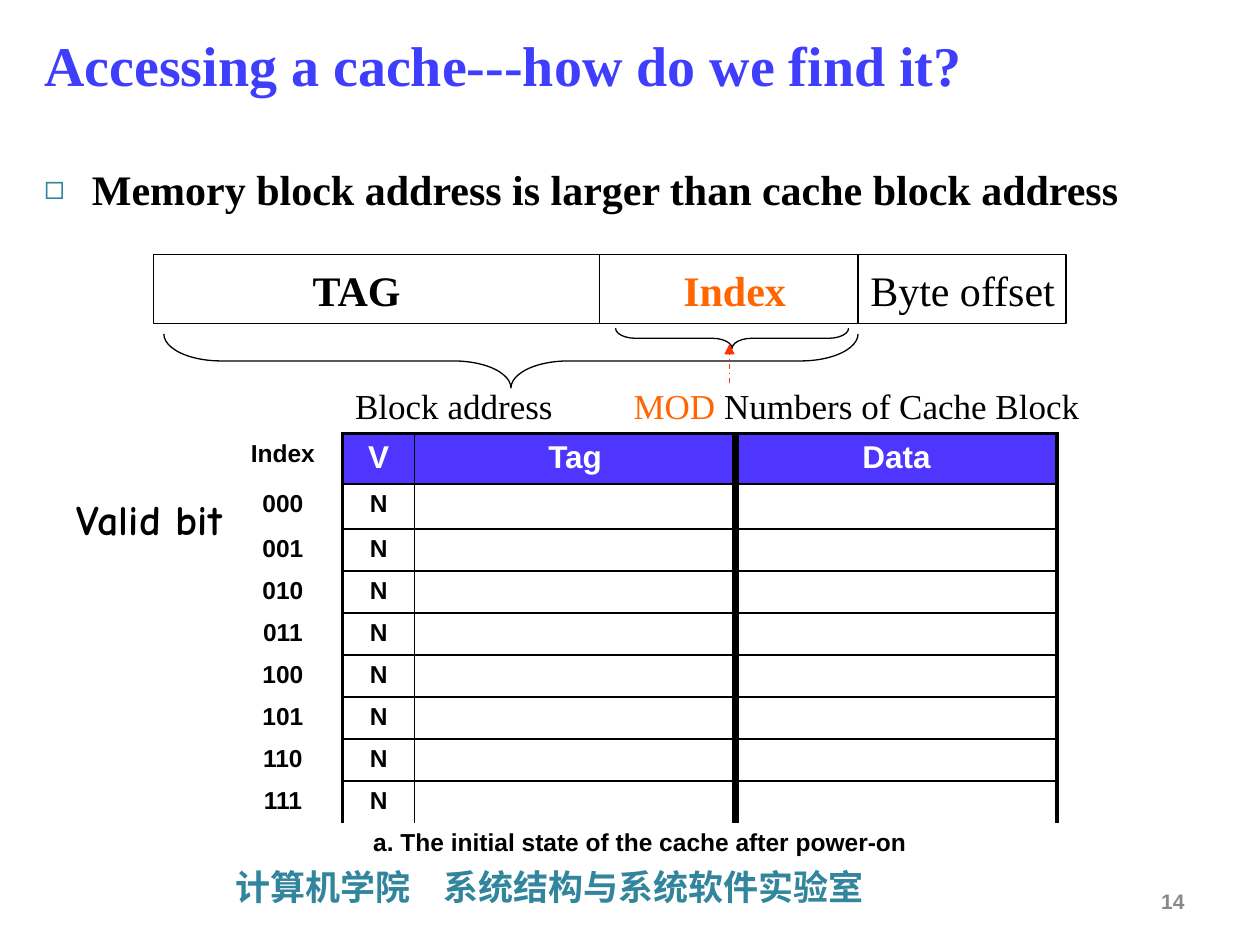
"""Build the slide on locating a block in a cache."""
from dataclasses import dataclass
from typing import Any, Optional

import lxml.etree
import pptx
import pptx.dml.color
import pptx.enum.dml
import pptx.enum.shapes
import pptx.enum.text
import pptx.oxml.ns
import pptx.util

Inches = pptx.util.Inches
Pt = pptx.util.Pt
qn = pptx.oxml.ns.qn
ALIGN = pptx.enum.text.PP_ALIGN
ANCHOR = pptx.enum.text.MSO_ANCHOR
SHAPE = pptx.enum.shapes.MSO_SHAPE

SERIF = "Times New Roman"
SANS = "Arial"
BLACK = "000000"
ORANGE = "FF6600"
TEAL = "31859C"
WHITE = "FFFFFF"
HEADER_FILL = "4E36FE"


@dataclass
class Style:
    size: float
    font: str = SERIF
    color: str = BLACK
    bold: bool = False


@dataclass
class Label:
    frame: tuple[float, float, float, float]
    pieces: list[tuple[str, str]]
    style: Style
    align: Any = ALIGN.LEFT
    anchor: Any = ANCHOR.MIDDLE
    wrap: bool = True
    tab: Optional[float] = None


@dataclass
class Brace:
    frame: tuple[float, float, float, float]
    curl: float


FIELD_WIDTH = 1.72
FIELDS = [
    (2.83, "TAG", Style(24, bold=True)),
    (5.83, "Index", Style(24, color=ORANGE, bold=True)),
    (7.64, "Byte offset", Style(24)),
]
LABELS = [
    Label((center - FIELD_WIDTH / 2, 2.1, FIELD_WIDTH, 0.39), [(name, style.color)], style,
          ALIGN.CENTER, wrap=False)
    for center, name, style in FIELDS
] + [
    Label((2.72, 3.08, 6.2, 0.28),
          [("Block address\t", BLACK), ("MOD ", ORANGE), ("Numbers of Cache Block", BLACK)],
          Style(20), wrap=False, tab=2.21),
    Label((0.25, 3.87, 1.61, 0.5), [("Valid bit", BLACK)],
          Style(24, "Comic Neue", bold=True), ALIGN.RIGHT, ANCHOR.TOP),
    Label((1.77, 6.82, 7.24, 0.44), [("计算机学院\t系统结构与系统软件实验室", TEAL)],
          Style(20, "Noto Sans CJK SC", bold=True), anchor=ANCHOR.TOP, tab=1.65),
    Label((7.17, 6.95, 2.33, 0.4), [("14", "898989")],
          Style(12, SANS, bold=True), ALIGN.RIGHT),
]
BRACES = [Brace((3.84, 0.11, 0.43, 5.51), 1.06), Brace((5.73, 1.76, 0.16, 1.85), 0.99)]
COLUMN_WIDTHS = [0.95, 0.57, 2.55, 2.55]
COLUMN_EDGES = [0, 2.25, 1, 4.5, 2.25]
INDEX_BITS = 3
CAPTION = "a. The initial state of the cache after power-on"


def rgb(color: str) -> pptx.dml.color.RGBColor:
    return pptx.dml.color.RGBColor.from_string(color)


def inches(values: tuple[float, ...]) -> list[int]:
    return [Inches(value) for value in values]


def add_xml(parent: Any, tag: str, **attributes: str) -> Any:
    return lxml.etree.SubElement(parent, qn(tag), attributes)


def format_run(run: Any, style: Style, color: str) -> None:
    run.font.size = Pt(style.size)
    run.font.bold = style.bold
    run.font.color.rgb = rgb(color)
    run.font.name = style.font
    add_xml(run.font._element, "a:ea", typeface=style.font)


def fill_placeholder(holder: Any, frame: tuple[float, ...], text: str,
                     style: Style, anchor: Any) -> Any:
    holder.left, holder.top, holder.width, holder.height = inches(frame)
    holder.text_frame.text = text
    holder.text_frame.auto_size = pptx.enum.text.MSO_AUTO_SIZE.NONE
    holder.text_frame.vertical_anchor = anchor
    paragraph = holder.text_frame.paragraphs[0]
    paragraph.alignment = ALIGN.LEFT
    paragraph.space_before = Pt(0)
    format_run(paragraph.runs[0], style, style.color)
    return paragraph


def add_bullet(paragraph: Any) -> None:
    properties = paragraph._p.get_or_add_pPr()
    properties.set("marL", str(Inches(0.38)))
    properties.set("indent", str(Inches(-0.38)))
    add_xml(add_xml(properties, "a:buClr"), "a:srgbClr", val=TEAL)
    add_xml(properties, "a:buSzPct", val="80000")
    add_xml(properties, "a:buChar", char="◻")


def draw_label(slide: Any, label: Label) -> None:
    frame = slide.shapes.add_textbox(*inches(label.frame)).text_frame
    frame.word_wrap = label.wrap
    frame.vertical_anchor = label.anchor
    paragraph = frame.paragraphs[0]
    paragraph.alignment = label.align
    if label.tab:
        stops = add_xml(paragraph._p.get_or_add_pPr(), "a:tabLst")
        add_xml(stops, "a:tab", pos=str(Inches(label.tab)), algn="l")
    for text, color in label.pieces:
        run = paragraph.add_run()
        run.text = text
        format_run(run, label.style, color)


def draw_outline(slide: Any, kind: Any, frame: tuple[float, ...]) -> Any:
    outline = slide.shapes.add_shape(kind, *inches(frame))
    outline.shadow.inherit = False
    outline.fill.background()
    outline.line.color.rgb = rgb(BLACK)
    outline.line.width = Pt(0.75)
    return outline


def draw_brace(slide: Any, brace: Brace) -> None:
    outline = draw_outline(slide, SHAPE.RIGHT_BRACE, brace.frame)
    outline.rotation = 90
    outline.adjustments[0] = brace.curl
    outline.adjustments[1] = 0.5


def draw_line(slide: Any, ends: tuple[float, ...], color: str = BLACK,
              arrow: bool = False) -> None:
    line = slide.shapes.add_connector(pptx.enum.shapes.MSO_CONNECTOR.STRAIGHT, *inches(ends))
    line.line.color.rgb = rgb(color)
    line.line.width = Pt(0.75)
    properties = line._element.spPr
    if arrow:
        line.line.dash_style = pptx.enum.dml.MSO_LINE.DASH_DOT
        add_xml(properties.find(qn("a:ln")), "a:tailEnd", type="triangle")
    add_xml(properties, "a:effectLst")


def fill_cell(cell: Any, text: str, style: Style, edges: tuple[float, ...],
              fill: Optional[str] = None) -> None:
    properties = cell._tc.get_or_add_tcPr()
    for side, width in zip("LRTB", edges):
        edge = add_xml(properties, f"a:ln{side}", w=str(Pt(width)))
        if width:
            add_xml(add_xml(edge, "a:solidFill"), "a:srgbClr", val=BLACK)
        else:
            add_xml(edge, "a:noFill")
    if fill:
        cell.fill.solid()
        cell.fill.fore_color.rgb = rgb(fill)
    else:
        cell.fill.background()
    paragraph = cell.text_frame.paragraphs[0]
    paragraph.alignment = ALIGN.CENTER
    if text:
        paragraph.text = text
        format_run(paragraph.runs[0], style, style.color)
    else:
        ending = add_xml(paragraph._p, "a:endParaRPr", sz=str(style.size * 100))
        add_xml(ending, "a:latin", typeface=style.font)


def draw_cache(slide: Any) -> None:
    indexes = [format(number, f"0{INDEX_BITS}b") for number in range(2 ** INDEX_BITS)]
    rows = [["Index", "V", "Tag", "Data"]] + [[index, "N", "", ""] for index in indexes]
    heights = [0.4, 0.36] + [1 / 3] * len(indexes)
    cache = slide.shapes.add_table(len(heights), len(COLUMN_WIDTHS), *inches(
        (1.77, 3.44, sum(COLUMN_WIDTHS), sum(heights)))).table
    cache.first_row = cache.horz_banding = False
    for column, width in zip(cache.columns, COLUMN_WIDTHS):
        column.width = Inches(width)
    for row, height in zip(cache.rows, heights):
        row.height = Inches(height)
    body = Style(14, SANS, bold=True)
    heading = Style(18, SANS, WHITE, True)
    for r, texts in enumerate(rows):
        for c, text in enumerate(texts):
            top = 0 if c == 0 else 1 if r else 2.25
            bottom = 0 if c == 0 or r == len(indexes) else 1
            is_heading = r == 0 and c > 0
            fill_cell(cache.cell(r, c), text, heading if is_heading else body,
                      (COLUMN_EDGES[c], COLUMN_EDGES[c + 1], top, bottom),
                      HEADER_FILL if is_heading else None)
    last = len(rows)
    cache.cell(last, 0).merge(cache.cell(last, len(COLUMN_WIDTHS) - 1))
    fill_cell(cache.cell(last, 0), CAPTION, body, (0, 0, 0, 0))


def main() -> None:
    deck = pptx.Presentation()
    deck.slide_width, deck.slide_height = Inches(10), Inches(7.5)
    slide = deck.slides.add_slide(deck.slide_layouts[1])
    fill_placeholder(slide.shapes.title, (0.25, 0.17, 8.77, 0.67),
                     "Accessing a cache---how do we find it?",
                     Style(32, color="3E3EFC", bold=True), ANCHOR.MIDDLE)
    add_bullet(fill_placeholder(slide.placeholders[1], (0.25, 1.25, 9.17, 2.58),
                                "Memory block address is larger than cache block address",
                                Style(24, bold=True), ANCHOR.TOP))
    draw_outline(slide, SHAPE.RECTANGLE, (1.22, 2.02, 7.24, 0.55))
    for x in (4.76, 6.81):
        draw_line(slide, (x, 2.02, x, 2.57))
    draw_cache(slide)
    for label in LABELS:
        draw_label(slide, label)
    for brace in BRACES:
        draw_brace(slide, brace)
    draw_line(slide, (5.79, 3.04, 5.79, 2.73), "FF3300", arrow=True)
    deck.save("out.pptx")


if __name__ == "__main__":
    main()
